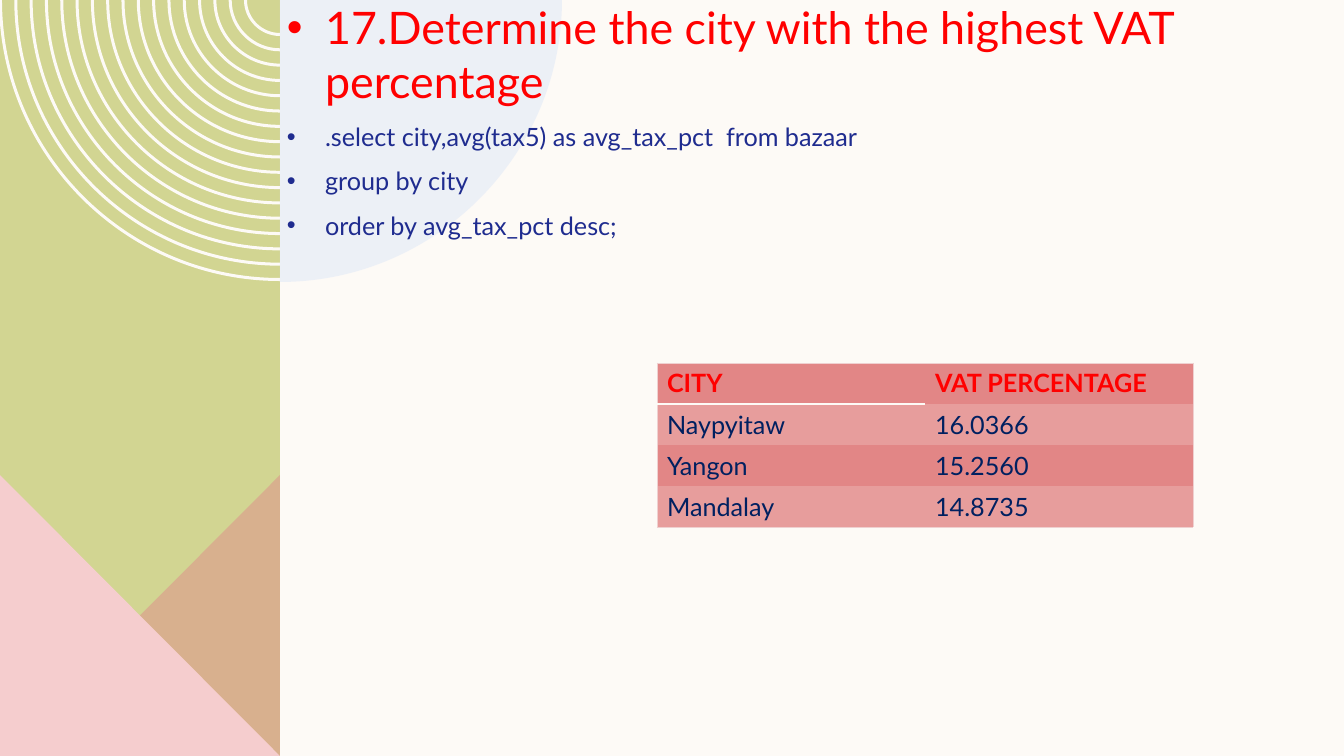
from lxml.etree import SubElement
from pptx import Presentation
from pptx.dml.color import RGBColor
from pptx.enum.text import MSO_ANCHOR as Anchor
from pptx.oxml.ns import qn
from pptx.util import Emu, Pt

FONT = "Lato"
CREAM, GREEN, ROSE, PINK, SKY = "FDFAF6", "D2D592", "DE8C8C", "F5CDCE", "DDE7F6"
RED, BLUE, NAVY = "FF0000", "1F2C8F", "002060"
DARK_BAND, LIGHT_BAND, EDGE = "E28686", "E79D9C", "EFD0D0"
PLAIN_STYLE = "{2D5ABB26-0587-4C30-8999-92F81FD0307C}"

LINES = [
    ("17.Determine the city with the highest VAT percentage", 32, RED),
    (".select city,avg(tax5) as avg_tax_pct  from bazaar", 18, BLUE),
    ("group by city", 18, BLUE),
    ("order by avg_tax_pct desc;", 18, BLUE),
]
ROWS = [
    ("CITY", "VAT PERCENTAGE"),
    ("Naypyitaw", "16.0366"),
    ("Yangon", "15.2560"),
    ("Mandalay", "14.8735"),
]


def px(length):
    return Emu(round(length * 914400 / 100.8))


def color(hex_text):
    return RGBColor.from_string(hex_text)


def style(span, size, hex_text, bold=False):
    span.font.name = FONT
    span.font.size = Pt(size)
    span.font.bold = bold
    span.font.color.rgb = color(hex_text)


def bend(shape, curve_starts):
    geometry = shape._element.find(".//" + qn("a:path"))
    for move in geometry.findall(qn("a:moveTo")):
        segments = list(move.itersiblings())
        for start in curve_starts:
            trio = segments[start - 1:start + 2]
            curve = SubElement(geometry, qn("a:cubicBezTo"))
            trio[0].addprevious(curve)
            for segment in trio:
                curve.append(segment[0])
                geometry.remove(segment)


def outline(page, contours, hex_text, opacity=100, curve_starts=()):
    contours = [[(px(x), px(y)) for x, y in points] for points in contours]
    builder = page.shapes.build_freeform(*contours[0][0])
    for index, points in enumerate(contours):
        if index:
            builder.move_to(*points[0])
        builder.add_line_segments(points[1:], close=True)
    shape = builder.convert_to_shape()
    bend(shape, curve_starts)
    shape.shadow.inherit = False
    shape.line.fill.background()
    shape.fill.solid()
    shape.fill.fore_color.rgb = color(hex_text)
    if opacity < 100:
        tint = shape.fill._xPr.find(qn("a:solidFill"))[0]
        SubElement(tint, qn("a:alpha"), val=str(opacity * 1000))


def quarter(center_x, center_y, radius, direction):
    handle = radius * 0.55
    return [
        (center_x + direction * radius, center_y),
        (center_x + direction * radius, center_y + handle),
        (center_x + direction * handle, center_y + radius),
        (center_x, center_y + radius),
    ]


def add_side_band(page, left, top, width, height):
    right, bottom = left + width, top + height
    outline(page, [[(left, top), (right, top), (right, bottom), (left, bottom)]], GREEN)

    outer, inner, count, thickness = 281, 36, 17, 3
    gap = (outer - inner) / (count - 1)
    rings = []
    for index in range(count):
        radius = outer - gap * index
        rings.append(quarter(right, top, radius, -1)
                     + quarter(right, top, radius - thickness, -1)[::-1])
    outline(page, rings, CREAM, curve_starts=(1, 5))

    peak = bottom - 281
    outline(page, [[(right, peak), (right, bottom), (left, bottom)]], ROSE, 50)
    outline(page, [[(left, peak), (right, bottom), (left, bottom)]], PINK)
    outline(page, [[(right, top)] + quarter(right, top, 282, 1)], SKY, 50, (2,))


def add_query(page, left, top, width, height):
    box = page.shapes.add_textbox(px(left), px(top), px(width), px(height))
    frame = box.text_frame
    frame.word_wrap = True
    frame.margin_left = frame.margin_right = px(10)
    frame.margin_top = frame.margin_bottom = 0
    frame.text = "\n".join(text for text, size, tint in LINES)
    for para, (text, size, tint) in zip(frame.paragraphs, LINES):
        para.space_before = Pt(10)
        style(para.runs[0], size, tint)
        settings = para._p.get_or_add_pPr()
        settings.set("marL", str(px(38)))
        settings.set("indent", str(-px(38)))
        SubElement(settings, qn("a:buFont"), typeface="Arial")
        SubElement(settings, qn("a:buChar"), char="•")


def add_border(cell, side, hex_text, points):
    line = SubElement(cell._tc.get_or_add_tcPr(), qn(f"a:ln{side}"), w=str(Pt(points)))
    fill = SubElement(line, qn("a:solidFill"))
    SubElement(fill, qn("a:srgbClr"), val=hex_text)


def add_vat_table(page, left, top, width, height):
    last_row, last_col = len(ROWS) - 1, len(ROWS[0]) - 1
    table = page.shapes.add_table(
        len(ROWS), len(ROWS[0]), px(left), px(top), px(width), px(height)).table
    table.first_row = table.horz_banding = False
    table._tbl.tblPr.find(qn("a:tableStyleId")).text = PLAIN_STYLE
    for r, values in enumerate(ROWS):
        for c, value in enumerate(values):
            cell = table.cell(r, c)
            cell.text = value
            cell.vertical_anchor = Anchor.MIDDLE if r else Anchor.TOP
            style(cell.text_frame.paragraphs[0].runs[0], 18, NAVY if r else RED, r == 0)
            edges = {"L": c == 0, "R": c == last_col, "T": r == 0, "B": r == last_row}
            for side, outside in edges.items():
                if outside:
                    add_border(cell, side, EDGE, 0.5)
            if r == 0 and c == 0:
                add_border(cell, "B", CREAM, 1.5)
            cell.fill.solid()
            cell.fill.fore_color.rgb = color(LIGHT_BAND if r % 2 else DARK_BAND)


def main():
    deck = Presentation()
    deck.slide_width, deck.slide_height = px(1344), px(756)
    page = deck.slides.add_slide(deck.slide_layouts[6])
    page.background.fill.solid()
    page.background.fill.fore_color.rgb = color(CREAM)
    add_side_band(page, 0, 0, 280, 756)
    add_query(page, 277, 0, 1067, 756)
    add_vat_table(page, 657, 363, 536, 164)
    deck.save("out.pptx")


if __name__ == "__main__":
    main()
